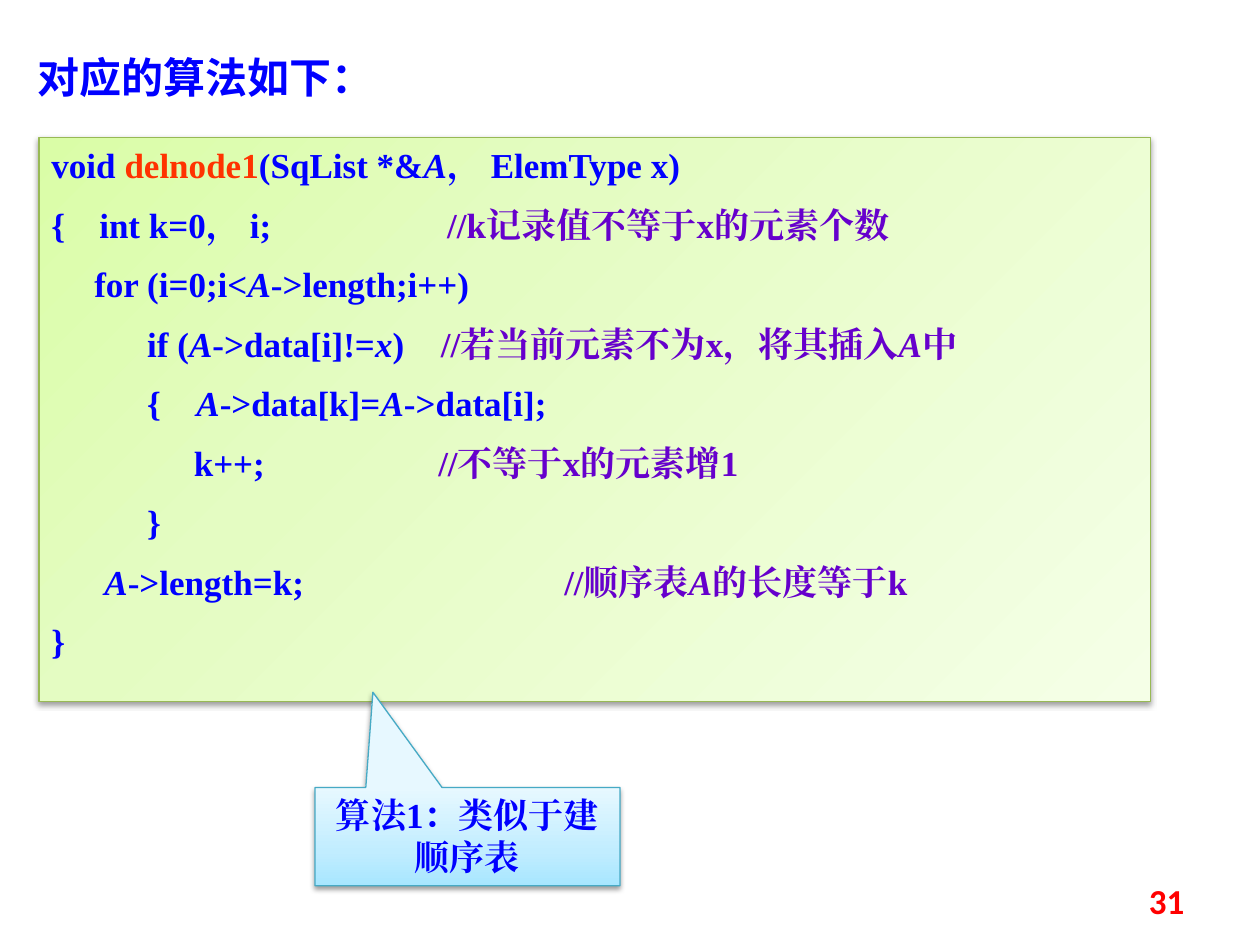
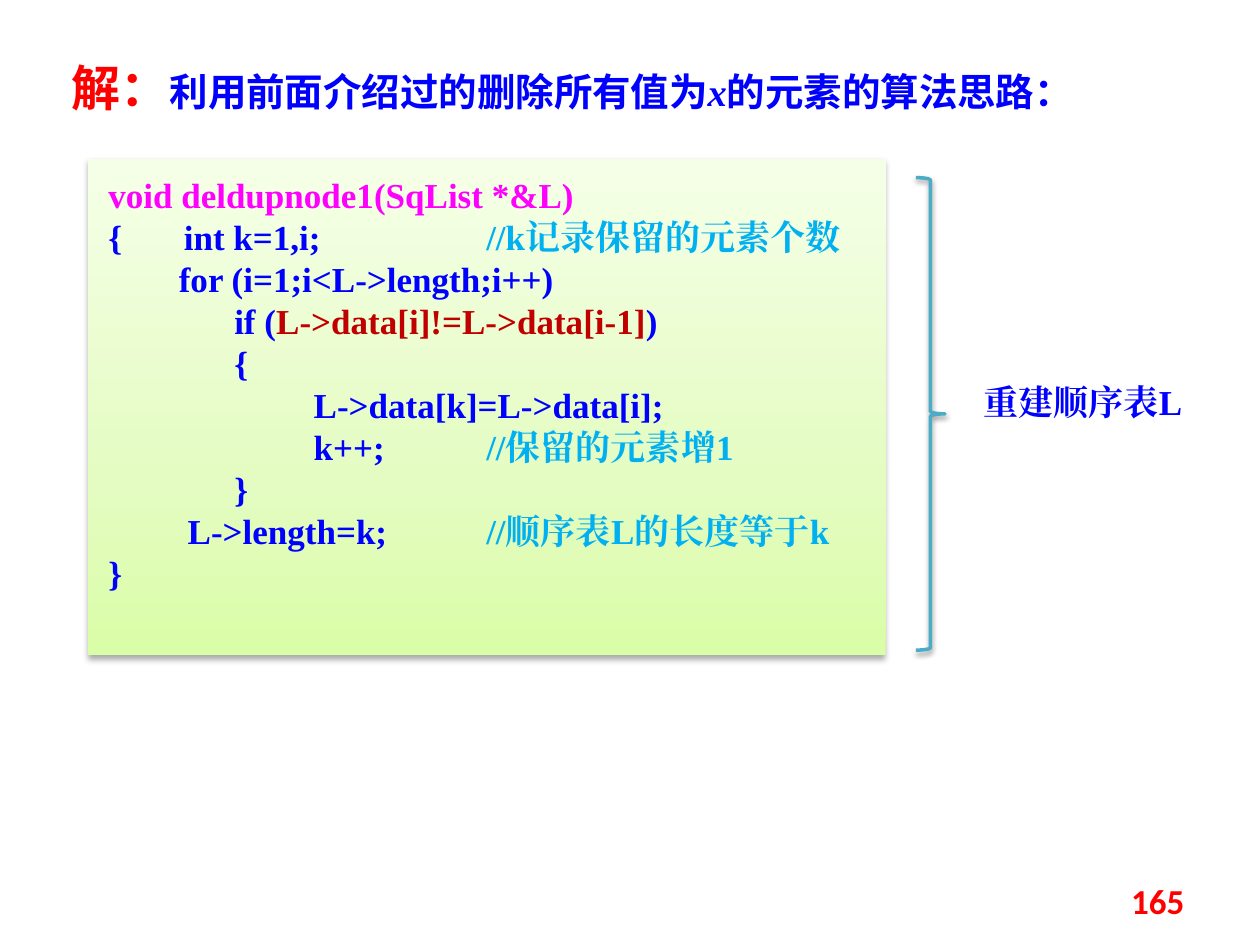
from copy import deepcopy
from dataclasses import dataclass

from pptx import Presentation
from pptx.dml.color import RGBColor
from pptx.enum.shapes import MSO_SHAPE as Shape
from pptx.enum.text import MSO_ANCHOR as Anchor, MSO_AUTO_SIZE as AutoSize, PP_ALIGN as Align
from pptx.oxml.ns import qn
from pptx.util import Inches, Pt
from lxml import etree

# Shared colours and fonts
BLUE = RGBColor(0x00, 0x00, 0xFF)
RED = RGBColor(0xFF, 0x00, 0x00)
ORANGE = RGBColor(0xFF, 0x33, 0x00)
PURPLE = RGBColor(0x66, 0x00, 0xCC)
MAGENTA = RGBColor(0xFF, 0x00, 0xFF)
SKY = RGBColor(0x00, 0xB0, 0xF0)
DARK_RED = RGBColor(0xC0, 0x00, 0x00)
GREEN_EDGE = RGBColor(0x98, 0xB9, 0x55)
CALLOUT_EDGE = RGBColor(0x46, 0xAA, 0xC5)
BRACE_COLOR = RGBColor(0x4B, 0xAC, 0xC6)
GREENS = [RGBColor(0xDA, 0xFD, 0xA7), RGBColor(0xE4, 0xFC, 0xC2), RGBColor(0xF5, 0xFF, 0xE7)]
AQUAS = [RGBColor(0xA7, 0xE6, 0xFF), RGBColor(0xC1, 0xED, 0xFF), RGBColor(0xE7, 0xF8, 0xFF)]
STOPS = (0, 0.35, 1)
CODE_FONT = "Times New Roman"
TITLE_FONT = "Noto Sans CJK SC"
NUMBER_FONT = "Calibri"


@dataclass
class Run:
    text: str
    color: RGBColor = BLUE
    italic: bool = False
    size: float = 20
    font: str = CODE_FONT


def variable(name, color=BLUE):
    return Run(name, color, italic=True)


class Deck:
    """Holds the style and the current slide."""

    def __init__(self):
        self.presentation = Presentation()
        self.presentation.slide_width = Inches(10)
        self.presentation.slide_height = Inches(7.5)
        self.slide = None

    def add_slide(self, title_box, title_runs, number):
        layout = self.presentation.slide_layouts[5]
        self.slide = self.presentation.slides.add_slide(layout)
        title = self.slide.shapes.title
        title.left, title.top, title.width, title.height = map(Inches, title_box)
        self.set_frame(title)
        self.add_runs(title.text_frame.paragraphs[0], title_runs)
        self.text((7.17, 6.95, 2.33, 0.4), Run(number, RED, font=NUMBER_FONT),
                  Align.RIGHT, Anchor.MIDDLE)

    def set_frame(self, shape, anchor=Anchor.TOP, side=0.1, top=0.05):
        frame = shape.text_frame
        frame.word_wrap = True
        frame.auto_size = AutoSize.NONE
        frame.vertical_anchor = anchor
        frame.margin_left, frame.margin_right = Inches(side), Inches(0.1)
        frame.margin_top = frame.margin_bottom = Inches(top)

    def add_runs(self, paragraph, runs, align=Align.LEFT):
        paragraph.alignment = align
        for item in runs:
            if isinstance(item, str):
                item = Run(item)
            run = paragraph.add_run()
            run.text = item.text
            font = run.font
            font.name, font.size = item.font, Pt(item.size)
            font.bold, font.italic = True, item.italic
            font.color.rgb = item.color
            east_asian = etree.SubElement(run._r.get_or_add_rPr(), qn("a:ea"))
            east_asian.set("typeface", item.font)

    def text(self, box, run, align, anchor=Anchor.TOP):
        shape = self.slide.shapes.add_textbox(*map(Inches, box))
        self.set_frame(shape, anchor)
        self.add_runs(shape.text_frame.paragraphs[0], [run], align)

    def shape(self, kind, box, edge=None, width=0.75, shadow=(38, 3.1, 1.6)):
        shape = self.slide.shapes.add_shape(kind, *map(Inches, box))
        if edge is None:
            shape.line.fill.background()
        else:
            shape.line.color.rgb = edge
            shape.line.width = Pt(width)
        self.add_shadow(shape, *shadow)
        return shape

    def add_shadow(self, shape, opacity, blur, distance):
        shape.shadow.inherit = False
        effects = shape._element.spPr.find(qn("a:effectLst"))
        outer = etree.SubElement(effects, qn("a:outerShdw"), blurRad=str(Pt(blur)),
                                 dist=str(Pt(distance)), dir="5400000", rotWithShape="0")
        color = etree.SubElement(outer, qn("a:srgbClr"), val="000000")
        etree.SubElement(color, qn("a:alpha"), val=str(opacity * 1000))

    def gradient(self, shape, colors, angle):
        fill = shape.fill
        fill.gradient()
        fill.gradient_angle = angle
        stop_list = shape._element.spPr.find(".//" + qn("a:gsLst"))
        stop_list.insert(1, deepcopy(stop_list[0]))
        for stop, position, color in zip(fill.gradient_stops, STOPS, colors):
            stop.position = position
            stop.color.rgb = color

    def code(self, box, lines, angle, gap=0, side=0.1, top=0.05, **style):
        """Each line is its tab stops in inches, followed by its runs."""
        shape = self.shape(Shape.RECTANGLE, box, **style)
        self.gradient(shape, GREENS, angle)
        self.set_frame(shape, side=side, top=top)
        frame = shape.text_frame
        for index, (stops, *runs) in enumerate(lines):
            paragraph = frame.add_paragraph() if index else frame.paragraphs[0]
            paragraph.line_spacing = Pt(24)
            paragraph.space_before = Pt(gap if index else 0)
            self.add_runs(paragraph, runs)
            if stops:
                tab_list = etree.SubElement(paragraph._p.get_or_add_pPr(), qn("a:tabLst"))
                for stop in stops:
                    etree.SubElement(tab_list, qn("a:tab"), pos=str(Inches(stop)), algn="l")

    def callout(self, box, tip, text):
        shape = self.shape(Shape.RECTANGULAR_CALLOUT, box, CALLOUT_EDGE)
        shape.adjustments[0], shape.adjustments[1] = tip
        self.gradient(shape, AQUAS, 90)
        self.set_frame(shape)
        paragraph = shape.text_frame.paragraphs[0]
        paragraph.line_spacing = Pt(24)
        self.add_runs(paragraph, [text], Align.CENTER)

    def brace(self, box):
        self.shape(Shape.RIGHT_BRACE, box, BRACE_COLOR, 2).fill.background()


def deletion_slide(deck):
    deck.add_slide((0.2, 0.36, 9.06, 0.5),
                   [Run("对应的算法如下：", size=24, font=TITLE_FONT)], "31")
    a = variable("A")
    purple_a = variable("A", PURPLE)
    # Code panel
    deck.code((0.31, 1.09, 8.82, 4.48), [
        ([], "void ", Run("delnode1", ORANGE), "(SqList *&", a, "， ElemType x)"),
        ([0.38, 3.14], "{\tint k=0， i;\t", Run("//k记录值不等于x的元素个数", PURPLE)),
        ([0.34], "\tfor (i=0;i<", a, "->length;i++)"),
        ([0.76, 3.09], "\tif (", a, "->data[i]!=", variable("x"), ")\t",
         Run("//若当前元素不为x，将其插入", PURPLE), purple_a, Run("中", PURPLE)),
        ([0.76, 1.15], "\t{\t", a, "->data[k]=", a, "->data[i];"),
        ([1.13, 3.07], "\tk++;\t", Run("//不等于x的元素增1", PURPLE)),
        ([0.76], "\t}"),
        ([0.42, 4.07], "\t", a, "->length=k;\t", Run("//顺序表", PURPLE), purple_a,
         Run("的长度等于k", PURPLE)),
        ([], "}"),
    ], angle=315, gap=10, edge=GREEN_EDGE)
    # Remark on the method
    deck.callout((2.5, 6.25, 2.42, 0.78), (-0.31, -1.47), "算法1：类似于建顺序表")


def duplicates_slide(deck):
    deck.add_slide((0.47, 0.41, 8.75, 0.62), [
        Run("解：", RED, size=28, font=TITLE_FONT),
        Run("利用前面介绍过的删除所有值为", size=22, font=TITLE_FONT),
        Run("x", italic=True, size=22),
        Run("的元素的算法思路：", size=22, font=TITLE_FONT),
    ], "165")
    # Code panel
    block, body, comment = 1, 1.63, 3
    deck.code((0.7, 1.26, 6.33, 3.94), [
        ([], Run("void deldupnode1(SqList *&L)", MAGENTA)),
        ([0.6, comment], "{\tint k=1,i;\t", Run("//k记录保留的元素个数", SKY)),
        ([0.56], "\tfor (i=1;i<L->length;i++)"),
        ([block], "\tif (", Run("L->data[i]!=L->data[i-1]", DARK_RED), ")"),
        ([block], "\t{"),
        ([body], "\tL->data[k]=L->data[i];"),
        ([body, comment], "\tk++;\t", Run("//保留的元素增1", SKY)),
        ([block], "\t}"),
        ([0.63, comment], "\tL->length=k;\t", Run("//顺序表L的长度等于k", SKY)),
        ([], "}"),
    ], angle=90, side=0.16, top=0.12, shadow=(32, 3.5, 2.2))
    # Brace and its label
    deck.brace((7.27, 1.41, 0.23, 3.75))
    deck.text((7.58, 2.97, 2.03, 0.47), Run("重建顺序表L"), Align.CENTER)


def main():
    deck = Deck()
    deletion_slide(deck)
    duplicates_slide(deck)
    deck.presentation.save("out.pptx")


if __name__ == "__main__":
    main()
